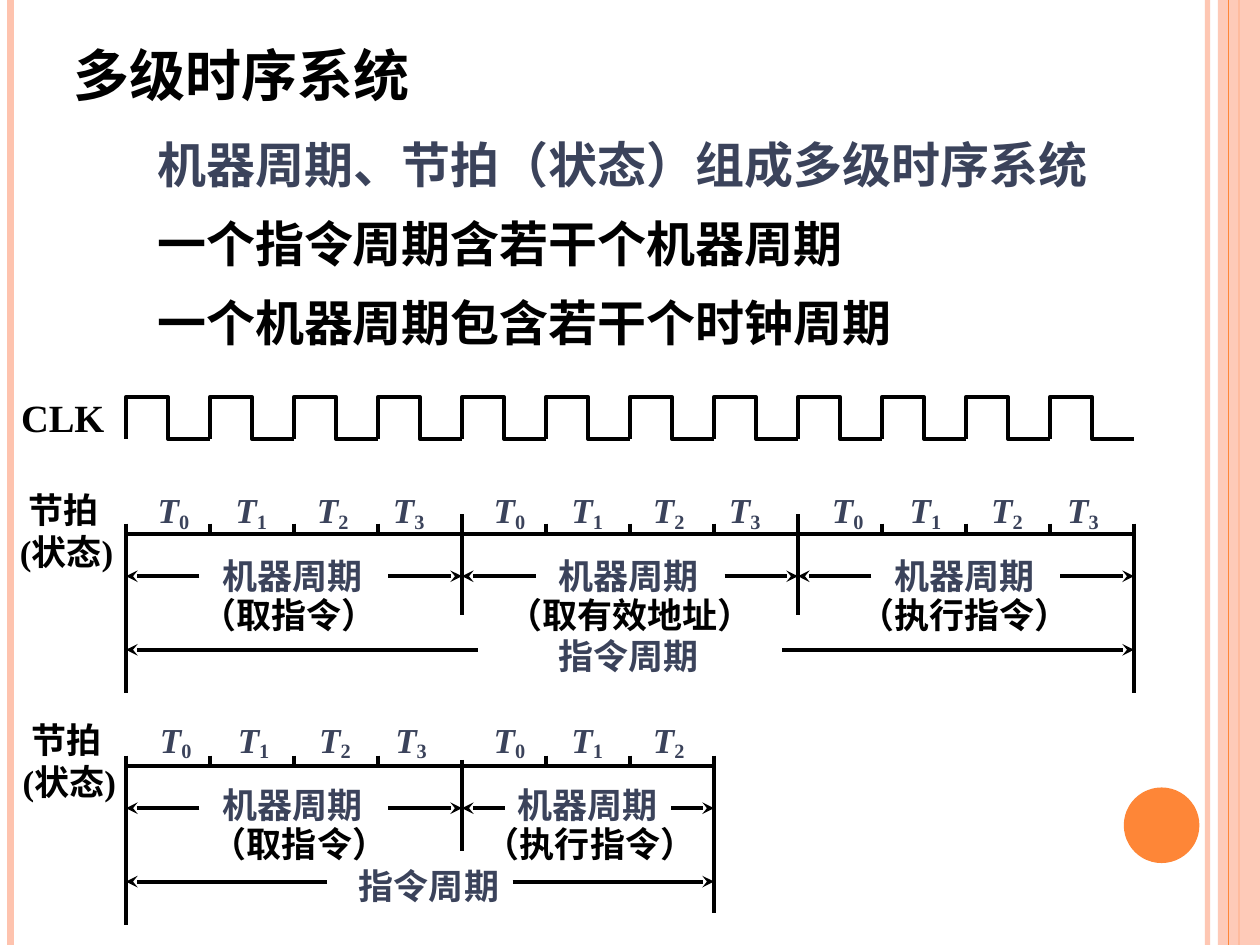
from dataclasses import dataclass

from lxml import etree
from pptx import Presentation
from pptx.dml.color import RGBColor
from pptx.enum import lang, shapes, text
from pptx.oxml.ns import qn
from pptx.util import Pt


@dataclass(frozen=True)
class Theme:
    font: str = "Times New Roman"
    ink: str = "000000"
    accent: str = "3B435B"
    orange: str = "FE8637"
    peach: str = "FEC3AE"
    title: float = 32
    body: float = 28
    clock: float = 22
    label: float = 20
    stroke: float = 2.25


@dataclass(frozen=True)
class Phase:
    """One machine cycle; x values count from its left edge."""
    states: int
    note: str
    note_x: float
    name_x: float = 48
    arrow: float = 42
    nudge: float = 0


@dataclass(frozen=True)
class Band:
    """One instruction cycle; y values count from its horizontal rule."""
    rule_y: float
    phases: tuple
    label_x: float
    divider: tuple
    right_depth: float
    whole_arrow: float
    whole_x: float
    lift: float = 0


THEME = Theme()
LEFT, STEP = 72, 48
STATE_X = (11, 55.5, 102, 145.5)
BANDS = (
    Band(305.3, (Phase(4, "（取指令）", 36), Phase(4, "（取有效地址）", 19),
                 Phase(4, "（执行指令）", 28, nudge=1.3)),
         4.3, (-11.5, 46), 90.7, 201, 240),
    Band(437.8, (Phase(4, "（取指令）", 42, nudge=1.3),
                 Phase(3, "（执行指令）", 6, name_x=24.5, arrow=24.5)),
         5.8, (-3.6, 48.2), 84, 115, 126, lift=1.5),
)


def add_span(para, words, size, color, italic=False, baseline=None):
    span = para.add_run()
    span.text = words
    font = span.font
    font.name, font.size = THEME.font, Pt(size)
    font.bold, font.italic = True, italic
    font.color.rgb = RGBColor.from_string(color)
    font.language_id = lang.MSO_LANGUAGE_ID.SIMPLIFIED_CHINESE
    if baseline:
        span._r.get_or_add_rPr().set("baseline", str(baseline * 1000))


def add_box(page, left, top, width, height, wrap=False):
    box = page.shapes.add_textbox(Pt(left), Pt(top), Pt(width), Pt(height))
    box.text_frame.word_wrap = wrap
    return box.text_frame


def add_label(page, left, top, words, size=THEME.label, color=THEME.ink):
    frame = add_box(page, left, top, len(words) * size + 15, size * 1.3 + 5)
    add_span(frame.paragraphs[0], words, size, color)


def set_alpha(part, percent):
    for color in part.iter(qn("a:srgbClr")):
        etree.SubElement(color, qn("a:alpha")).set("val", str(percent * 1000))


def add_line(page, x1, y1, x2, y2, color=THEME.ink, weight=THEME.stroke,
             arrow=False, alpha=None):
    line = page.shapes.add_connector(
        shapes.MSO_CONNECTOR.STRAIGHT, Pt(x1), Pt(y1), Pt(x2), Pt(y2))
    line.line.color.rgb = RGBColor.from_string(color)
    line.line.width = Pt(weight)
    properties = line._element.spPr
    if alpha:
        set_alpha(properties, alpha)
    if arrow:
        tail = etree.SubElement(properties.find(qn("a:ln")), qn("a:tailEnd"))
        tail.set("type", "stealth")
    etree.SubElement(properties, qn("a:effectLst"))


def add_arrow_pair(page, left, right, y, length):
    """Two arrows pointing outward to the ends of a span."""
    add_line(page, left + length, y, left, y, arrow=True)
    add_line(page, right - length, y, right, y, arrow=True)


def add_solid(page, kind, left, top, width, height, color, alpha=None):
    solid = page.shapes.add_shape(kind, Pt(left), Pt(top), Pt(width), Pt(height))
    solid.shadow.inherit = False
    solid.fill.solid()
    solid.fill.fore_color.rgb = RGBColor.from_string(color)
    solid.line.fill.background()
    if alpha:
        set_alpha(solid._element.spPr, alpha)


def draw_frame(page, width, height):
    kinds = shapes.MSO_SHAPE
    add_line(page, width - 30, 0, width - 30, height, THEME.peach, 3, alpha=93)
    add_line(page, 6, 0, 6, height, THEME.peach, 4.5)
    add_line(page, width - 12, 0, width - 12, height, THEME.orange, 1.5)
    add_solid(page, kinds.RECTANGLE, width - 24, 0, 24, height, THEME.peach, 87)
    add_line(page, width - 18, 0, width - 18, height, THEME.orange, 0.75)
    add_solid(page, kinds.OVAL, 642.2, 450, 43.2, 43.2, THEME.orange)


def draw_title(page, left, top, width, height):
    title = page.shapes.title
    title.left, title.top = Pt(left), Pt(top)
    title.width, title.height = Pt(width), Pt(height)
    frame = title.text_frame
    frame.auto_size = text.MSO_AUTO_SIZE.NONE
    frame.vertical_anchor = text.MSO_ANCHOR.TOP
    para = frame.paragraphs[0]
    para.alignment = text.PP_ALIGN.LEFT
    add_span(para, "多级时序系统", THEME.title, THEME.ink)


def draw_statements(page, left, top, pitch):
    lines = (("机器周期、节拍（状态）组成多级时序系统", THEME.accent),
             ("一个指令周期含若干个机器周期", THEME.ink),
             ("一个机器周期包含若干个时钟周期", THEME.ink))
    for row, (words, color) in enumerate(lines):
        add_label(page, left, top + row * pitch, words, THEME.body, color)


def draw_clock(page, left, top, height, pulses):
    frame = add_box(page, 5, top - 5, 62, 34)
    add_span(frame.paragraphs[0], "CLK", THEME.clock, THEME.ink)
    low = top + height
    for pulse in range(pulses):
        x = left + pulse * STEP
        middle = x + STEP / 2
        builder = page.shapes.build_freeform(Pt(x), Pt(low))
        corners = ((x, top), (middle, top), (middle, low), (x + STEP, low))
        builder.add_line_segments([(Pt(a), Pt(b)) for a, b in corners], close=False)
        wave = builder.convert_to_shape()
        wave.shadow.inherit = False
        wave.fill.background()
        wave.line.color.rgb = RGBColor.from_string(THEME.ink)
        wave.line.width = Pt(THEME.stroke)


def draw_state_label(page, left, top):
    frame = add_box(page, left, top, 67.6, 55.4, wrap=True)
    heading = frame.paragraphs[0]
    heading._p.get_or_add_pPr().set("indent", str(Pt(5)))
    add_span(heading, "节拍", THEME.label, THEME.ink)
    add_span(frame.add_paragraph(), "(状态)", THEME.label, THEME.ink)


def draw_phase(page, phase, left, rule, text_rule):
    right = left + phase.states * STEP
    for state, x in enumerate(STATE_X[:phase.states]):
        frame = add_box(page, left + x + phase.nudge, text_rule - 29.5, 33, 31)
        para = frame.paragraphs[0]
        add_span(para, "T", THEME.label, THEME.accent, italic=True)
        add_span(para, str(state), THEME.label, THEME.accent, baseline=-15)
        if state:
            tick = left + state * STEP
            add_line(page, tick, rule - 6, tick, rule)
    add_arrow_pair(page, left, right, rule + 24, phase.arrow)
    add_label(page, left + phase.name_x, text_rule + 8, "机器周期", color=THEME.accent)
    add_label(page, left + phase.note_x, text_rule + 30.2, phase.note)
    return right


def draw_band(page, band, left):
    rule, text_rule = band.rule_y, band.rule_y - band.lift
    right = left + STEP * sum(phase.states for phase in band.phases)
    add_line(page, left, rule, right, rule)
    add_line(page, left, rule - 6, left, rule + 90.5)
    add_line(page, right, rule - 6, right, rule + band.right_depth)
    edge = left
    for phase in band.phases:
        if edge > left:
            add_line(page, edge, rule + band.divider[0], edge, rule + band.divider[1])
        edge = draw_phase(page, phase, edge, rule, text_rule)
    add_arrow_pair(page, left, right, rule + 66, band.whole_arrow)
    add_label(page, left + band.whole_x, text_rule + 54, "指令周期", color=THEME.accent)
    draw_state_label(page, band.label_x, text_rule - 29.5)


def main():
    deck = Presentation()
    deck.slide_width, deck.slide_height = Pt(720), Pt(540)
    page = deck.slides.add_slide(deck.slide_layouts[5])
    draw_frame(page, 720, 540)
    draw_title(page, 34.6, 19.4, 320, 45.4)
    draw_statements(page, 82.8, 73.4, 45)
    draw_clock(page, LEFT, 226.8, 24, pulses=12)
    for band in BANDS:
        draw_band(page, band, LEFT)
    deck.save("out.pptx")


if __name__ == "__main__":
    main()
